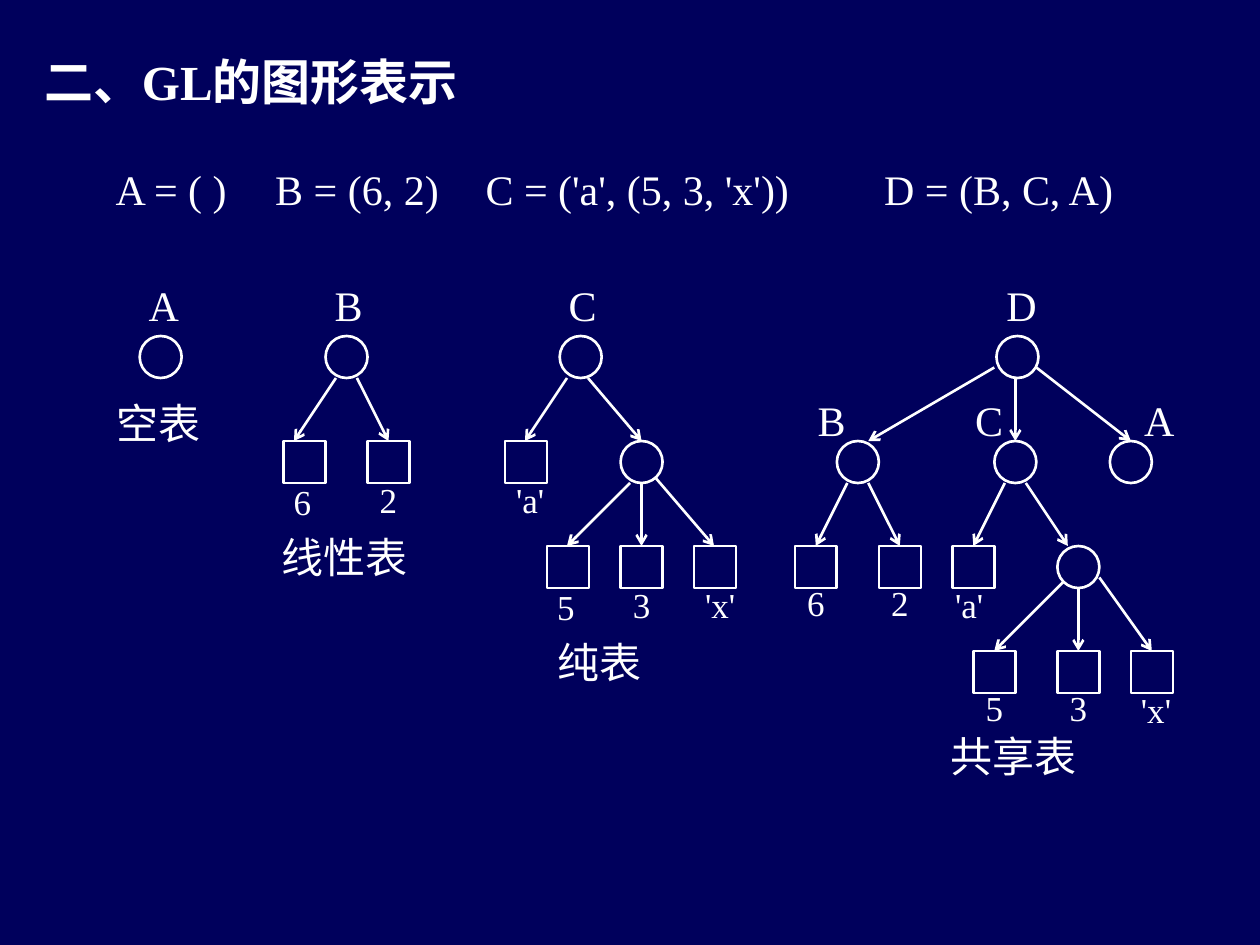
import pptx
import pptx.util
import pptx.dml.color
import pptx.enum.shapes
import pptx.enum.text
import pptx.oxml
import pptx.oxml.ns
from dataclasses import dataclass

SHAPES = pptx.enum.shapes.MSO_SHAPE
TEXT = pptx.enum.text


@dataclass(frozen=True)
class Theme:
    ground = pptx.dml.color.RGBColor(0x00, 0x00, 0x5C)
    ink = pptx.dml.color.RGBColor(0xFF, 0xFF, 0xFF)
    face = "Times New Roman"
    title = 28
    body = 24
    leaf = 20
    line = 1.5


theme = Theme()
deck = pptx.Presentation()
deck.slide_width = pptx.util.Inches(10)
deck.slide_height = pptx.util.Inches(7.5)
cell = deck.slide_width / 120  # grid of 120 columns by 90 rows
node_size = 4

page = deck.slides.add_slide(deck.slide_layouts[5])
page.background.fill.solid()
page.background.fill.fore_color.rgb = theme.ground


def grid(*lengths):
    return [round(length * cell) for length in lengths]


def write(box, text, size, align=TEXT.PP_ALIGN.CENTER, bold=False):
    frame = box.text_frame
    frame.text = text
    frame.word_wrap = False
    frame.auto_size = TEXT.MSO_AUTO_SIZE.SHAPE_TO_FIT_TEXT
    frame.vertical_anchor = TEXT.MSO_ANCHOR.TOP
    para = frame.paragraphs[0]
    para.alignment = align
    para.font.name = theme.face
    para.font.size = pptx.util.Pt(size)
    para.font.bold = bold
    para.font.color.rgb = theme.ink


# Title
title = page.shapes.title
title.left, title.top, title.width, title.height = grid(3, 4.3, 46, 6.8)
write(title, "二、GL的图形表示", theme.title, TEXT.PP_ALIGN.LEFT, True)

# List definitions: text, column, width
definitions = [
    ("A = ( )", 9.7, 13.2),
    ("B = (6, 2)", 25, 18),
    ("C = ('a', (5, 3, 'x'))", 45, 31.4),
    ("D = (B, C, A)", 82.9, 24.4),
]
for text, column, width in definitions:
    write(page.shapes.add_textbox(*grid(column, 15, width, 6)), text, theme.body)

# Trees
# circles and squares: label, column, row, label shift across, label shift down
# hubs: unlabelled sublists (column, row)
# arrows: from column, from row, to column, to row
# caption: text, column, row, width
trees = [
    dict(
        circles=[("A", 13.3, 32, 0.3, -6)],
        squares=[], hubs=[], arrows=[],
        caption=("空表", 9.1, 37.3, 12),
    ),
    dict(
        circles=[("B", 31, 32, 0.2, -6)],
        squares=[("6", 27, 42, -0.2, 3.2), ("2", 35, 42, 0, 3)],
        hubs=[],
        arrows=[(32, 36, 28, 42), (34, 36, 37, 42)],
        caption=("线性表", 24.8, 50, 16),
    ),
    dict(
        circles=[("C", 53.3, 32, 0.2, -6)],
        squares=[("'a'", 48.1, 42, 0.4, 3), ("5", 52.1, 52, -0.2, 3.2),
                 ("3", 59.1, 52, 0, 3), ("'x'", 66.1, 52, 0.5, 3)],
        hubs=[(59.1, 42)],
        arrows=[(54, 36, 50, 42), (56, 36, 61.1, 42), (60, 46, 54, 52),
                (61.1, 46, 61.1, 52), (62, 45, 68, 52)],
        caption=("纯表", 51.1, 60, 12),
    ),
    dict(
        circles=[("D", 94.9, 32, 0.4, -6), ("B", 79.7, 42, -2.5, -5),
                 ("C", 94.7, 42, -2.5, -5), ("A", 105.7, 42, 2.7, -5)],
        squares=[("6", 75.7, 52, 0, 2.8), ("2", 83.7, 52, 0, 2.8),
                 ("'a'", 90.7, 52, -0.4, 3), ("5", 92.7, 62, 0, 2.8),
                 ("3", 100.7, 62, 0, 2.8), ("'x'", 107.7, 62, 0.4, 3)],
        hubs=[(100.7, 52)],
        arrows=[(94.7, 35, 82.7, 42), (96.7, 36, 96.7, 42), (98.7, 35, 107.7, 42),
                (80.7, 46, 77.7, 52), (82.7, 46, 85.7, 52), (95.7, 46, 92.7, 52),
                (97.7, 46, 101.7, 52), (101.7, 55, 94.7, 62), (102.7, 56, 102.7, 62),
                (104.7, 55, 109.7, 62)],
        caption=("共享表", 88.5, 69, 16),
    ),
]

for tree in trees:
    group = page.shapes.add_group_shape().shapes

    # Arrows lie beneath the nodes
    for ends in tree["arrows"]:
        arrow = group.add_connector(
            pptx.enum.shapes.MSO_CONNECTOR.STRAIGHT, *grid(*ends))
        arrow.line.color.rgb = theme.ink
        arrow.line.width = pptx.util.Pt(theme.line)
        head = pptx.oxml.parse_xml(
            f'<a:tailEnd {pptx.oxml.ns.nsdecls("a")} type="arrow"/>')
        arrow.line._get_or_add_ln().append(head)
        effects = pptx.oxml.parse_xml(f'<a:effectLst {pptx.oxml.ns.nsdecls("a")}/>')
        arrow._element.spPr.append(effects)

    # Nodes
    nodes = [(SHAPES.OVAL, *circle[1:3], False) for circle in tree["circles"]]
    nodes += [(SHAPES.RECTANGLE, *square[1:3], False) for square in tree["squares"]]
    nodes += [(SHAPES.OVAL, *hub, True) for hub in tree["hubs"]]
    for kind, column, row, filled in nodes:
        node = group.add_shape(kind, *grid(column, row, node_size, node_size))
        node.shadow.inherit = False
        node.line.color.rgb = theme.ink
        node.line.width = pptx.util.Pt(theme.line)
        if filled:
            node.fill.solid()
            node.fill.fore_color.rgb = theme.ground
        else:
            node.fill.background()

    # Node labels, centred on their node and then shifted
    for kind, size, height in (("circles", theme.body, 6), ("squares", theme.leaf, 5.3)):
        for text, column, row, across, down in tree[kind]:
            width = 4.4 if text.isdigit() else 6
            left = column + (node_size - width) / 2 + across
            write(group.add_textbox(*grid(left, row + down, width, height)), text, size)

    # Caption
    text, column, row, width = tree["caption"]
    write(group.add_textbox(*grid(column, row, width, 6)), text, theme.body)

deck.save("out.pptx")
